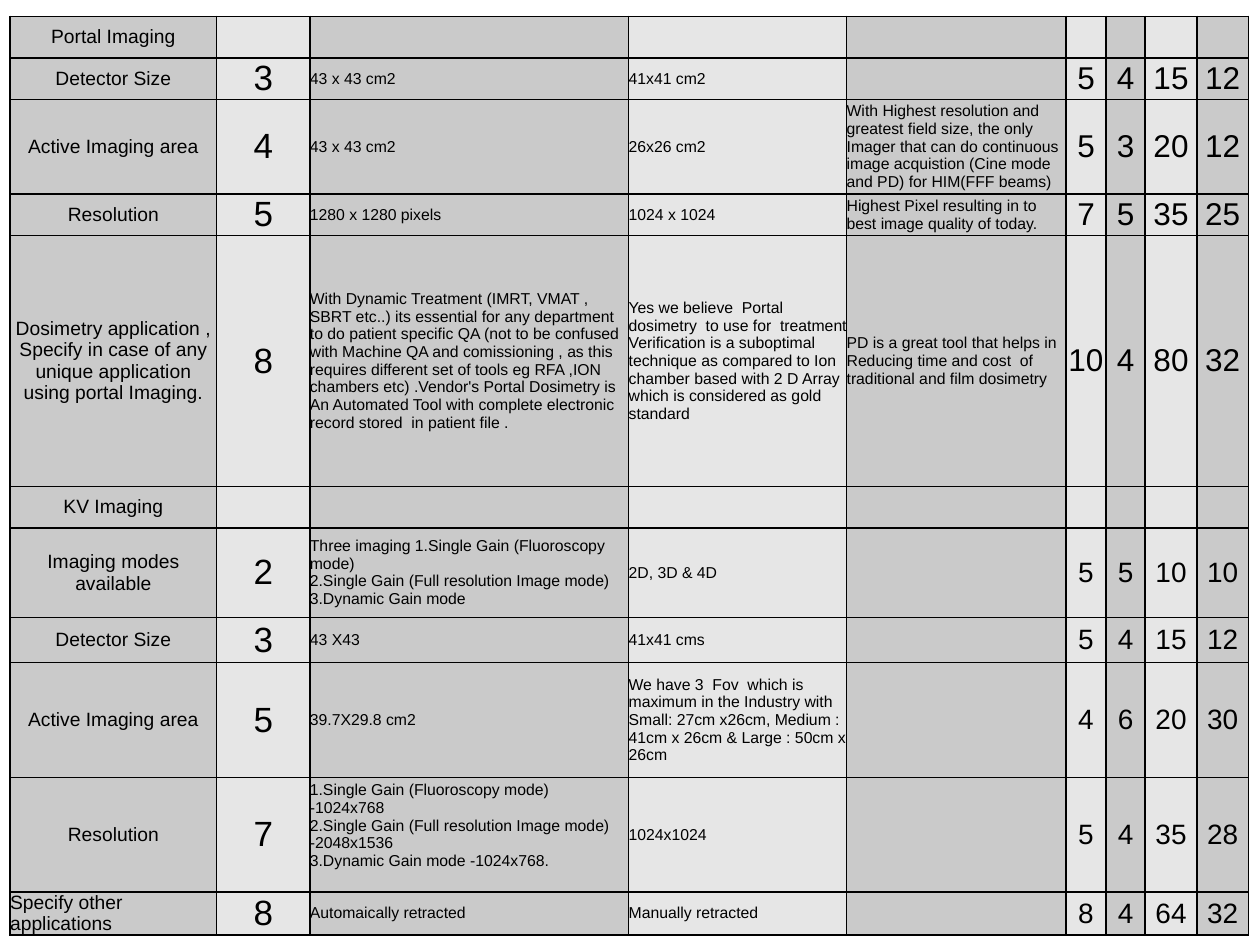
from dataclasses import dataclass

from pptx import Presentation
from pptx.dml.color import RGBColor
from pptx.enum.text import MSO_ANCHOR, PP_ALIGN
from pptx.oxml import parse_xml
from pptx.oxml.ns import nsdecls
from pptx.util import Inches, Pt


@dataclass(frozen=True)
class Theme:
    font: str = "Arial"
    text: str = "000000"
    border: str = "000000"
    bands: tuple = ("CACACA", "E6E6E6")
    border_width: int = Pt(1)
    label_size: int = 11
    weight_size: int = 20
    detail_size: int = 9
    portal_size: int = 18
    kv_size: int = 16


THEME = Theme()
COLUMNS = (1.64, 0.74, 2.53, 1.73, 1.74, 0.32, 0.31, 0.41, 0.41)
FIRST_DETAIL, LAST_DETAIL = 2, 4

# Each criterion: row height, label, weight, offer A, offer B, remark, rating A, rating B
PORTAL = (
    (0.33, "Detector Size", 3, "43 x 43 cm2", "41x41 cm2", "", 5, 4),
    (0.75, "Active Imaging area", 4, "43 x 43 cm2", "26x26 cm2",
     "With Highest resolution and greatest field size, the only Imager that can do "
     "continuous image acquistion (Cine mode and PD) for HIM(FFF beams)", 5, 3),
    (0.33, "Resolution", 5, "1280 x 1280 pixels", "1024 x 1024",
     "Highest Pixel resulting in to best image quality of today.", 7, 5),
    (1.99, "Dosimetry application , Specify in case of any unique application "
     "using portal Imaging.", 8,
     "With Dynamic Treatment (IMRT, VMAT , SBRT etc..) its essential for any "
     "department to do patient specific QA (not to be confused with Machine QA and "
     "comissioning , as this requires different set of tools eg RFA ,ION chambers "
     "etc) .Vendor's Portal Dosimetry is An Automated Tool with complete electronic "
     "record stored  in patient file .",
     "Yes we believe  Portal dosimetry  to use for  treatment Verification is a "
     "suboptimal technique as compared to Ion chamber based with 2 D Array  which is "
     "considered as gold standard",
     "PD is a great tool that helps in Reducing time and cost  of traditional and "
     "film dosimetry", 10, 4),
)
KV = (
    (0.71, "Imaging modes available", 2,
     "Three imaging 1.Single Gain (Fluoroscopy mode) \n"
     "2.Single Gain (Full resolution Image mode) \n3.Dynamic Gain mode",
     "2D, 3D & 4D", "", 5, 5),
    (0.36, "Detector Size", 3, "43 X43", "41x41 cms", "", 5, 4),
    (0.91, "Active Imaging area", 5, "39.7X29.8 cm2",
     "We have 3  Fov  which is maximum in the Industry with  Small: 27cm x26cm, "
     "Medium : 41cm x 26cm & Large : 50cm x 26cm", "", 4, 6),
    (0.91, "Resolution", 7,
     "1.Single Gain (Fluoroscopy mode)  -1024x768 \n"
     "2.Single Gain (Full resolution Image mode) -2048x1536\n"
     "3.Dynamic Gain mode -1024x768.", "1024x1024", "", 5, 4),
    (0.33, "Specify other applications", 8, "Automaically retracted",
     "Manually retracted", "", 8, 4),
)
SECTIONS = (("Portal Imaging", PORTAL, THEME.portal_size),
            ("KV Imaging", KV, THEME.kv_size))
HEADING_HEIGHT = 0.33


def table_rows():
    """Yield height, cell texts and rating size; a score is weight times rating."""
    for heading, criteria, size in SECTIONS:
        yield HEADING_HEIGHT, [heading] + [""] * (len(COLUMNS) - 1), size
        for height, label, weight, *details, rate_a, rate_b in criteria:
            numbers = (rate_a, rate_b, weight * rate_a, weight * rate_b)
            yield height, [label, str(weight), *details, *map(str, numbers)], size


def set_borders(cell):
    tc_pr = cell._tc.get_or_add_tcPr()
    for side in ("lnL", "lnR", "lnT", "lnB"):
        tc_pr.append(parse_xml(
            f'<a:{side} {nsdecls("a")} w="{THEME.border_width}"><a:solidFill>'
            f'<a:srgbClr val="{THEME.border}"/></a:solidFill></a:{side}>'))


def write_cell(cell, text, size, align):
    p = cell.text_frame.paragraphs[0]
    p.alignment = align
    for i, line in enumerate(text.split("\n")):
        if i:
            p.add_line_break()
        r = p.add_run()
        r.text = line
        r.font.name = THEME.font
        r.font.size = Pt(size)
        r.font.color.rgb = RGBColor.from_string(THEME.text)


def format_cell(cell, col):
    cell.margin_left = cell.margin_right = cell.margin_top = cell.margin_bottom = 0
    cell.vertical_anchor = MSO_ANCHOR.MIDDLE
    set_borders(cell)
    cell.fill.solid()
    cell.fill.fore_color.rgb = RGBColor.from_string(THEME.bands[col % 2])


def add_comparison(slide, left, top):
    rows = list(table_rows())
    width, height = sum(COLUMNS), sum(row[0] for row in rows)
    table = slide.shapes.add_table(len(rows), len(COLUMNS), left, top,
                                   Inches(width), Inches(height)).table
    table.first_row = table.horz_banding = False
    for column, col_width in zip(table.columns, COLUMNS):
        column.width = Inches(col_width)

    for i, (row_height, texts, rating_size) in enumerate(rows):
        table.rows[i].height = Inches(row_height)
        sizes = ([THEME.label_size, THEME.weight_size]
                 + [THEME.detail_size] * 3 + [rating_size] * 4)
        for col, (text, size) in enumerate(zip(texts, sizes)):
            cell = table.cell(i, col)
            format_cell(cell, col)
            if text:
                is_detail = FIRST_DETAIL <= col <= LAST_DETAIL
                is_last_label = col == 0 and i == len(rows) - 1
                align = PP_ALIGN.LEFT if is_detail or is_last_label else PP_ALIGN.CENTER
                write_cell(cell, text, size, align)
    # The KV resolution modes sit one text line above the middle of their cell
    table.cell(len(rows) - 2, FIRST_DETAIL).margin_bottom = Inches(0.14)


def main():
    prs = Presentation()
    prs.slide_width, prs.slide_height = Inches(10), Inches(7.5)
    slide = prs.slides.add_slide(prs.slide_layouts[6])
    add_comparison(slide, Inches(0.08), Inches(0.13))
    prs.save("out.pptx")


if __name__ == "__main__":
    main()
